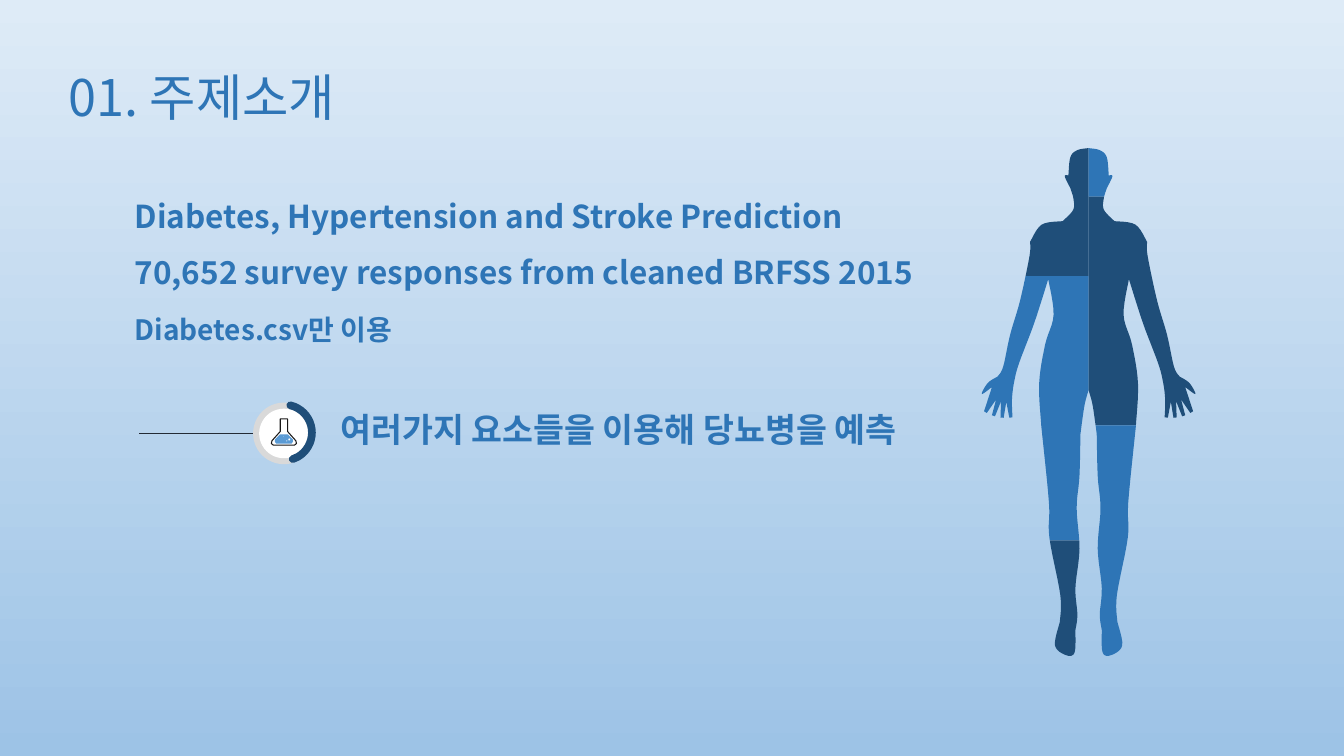
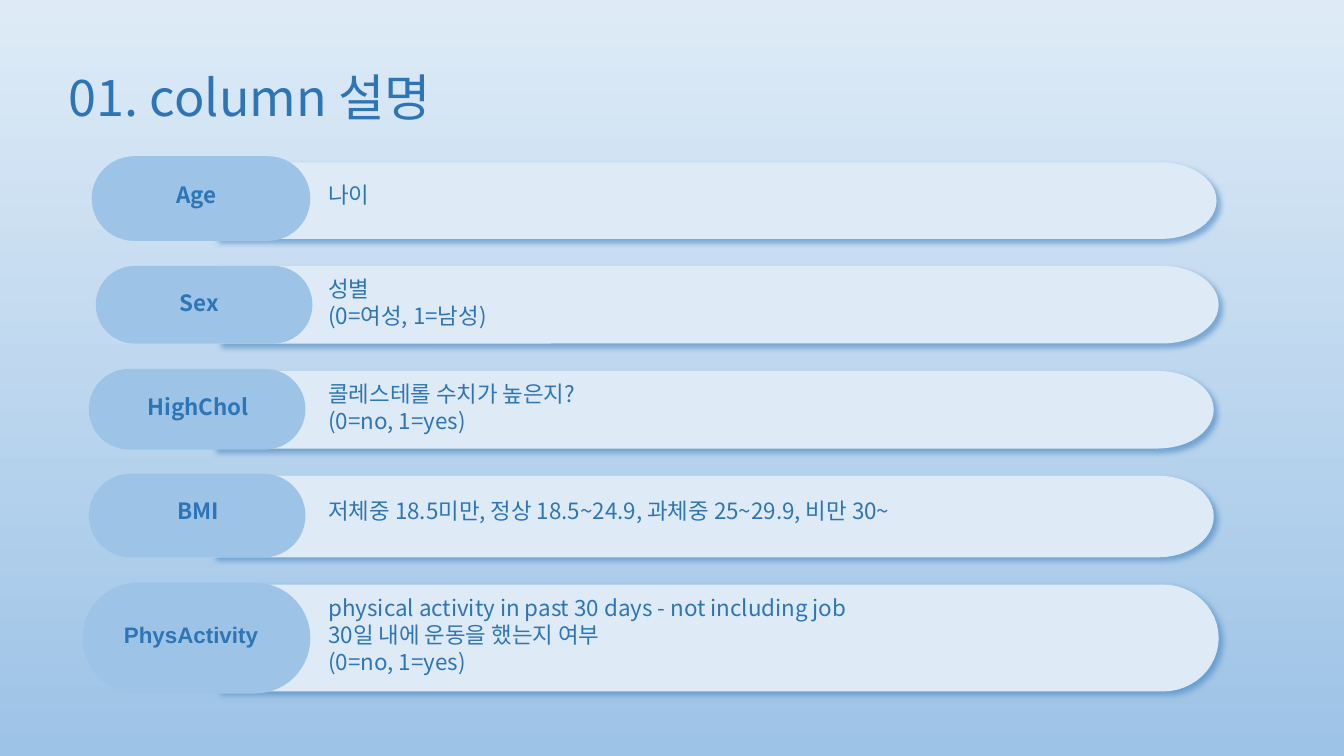
"""Build a two-slide introduction to a diabetes prediction project."""
from collections import namedtuple
from itertools import pairwise
from math import cos, pi, radians, sin

from lxml.etree import SubElement
from pptx import Presentation
from pptx.dml.color import RGBColor
from pptx.enum.shapes import MSO_CONNECTOR as CONNECTOR, MSO_SHAPE as SHAPE
from pptx.enum.text import MSO_ANCHOR as ANCHOR, PP_ALIGN as ALIGN
from pptx.oxml.ns import qn
from pptx.util import Pt

NAVY, BLUE, SKY, PALE = "1F4E79", "2E75B6", "9DC3E6", "DEEBF7"
WHITE, GREY, INK, LIQUID, RULE = "FFFFFF", "D9D9D9", "181717", "5B9BD5", "222A35"
KOREAN, LATIN = "Noto Sans CJK KR", "Arial"


def paint(shape, fill=None, line=None, width=1):
    shape.shadow.inherit = False
    for part, colour in ((shape.fill, fill), (shape.line.fill, line)):
        if colour:
            part.solid()
            part.fore_color.rgb = RGBColor.from_string(colour)
        else:
            part.background()
    if line:
        shape.line.width = Pt(width)


def write(box, place, lines, size, bold=False, font=KOREAN, align=ALIGN.LEFT, spacing=(1,)):
    box.left, box.top, box.width, box.height = map(Pt, place)
    frame = box.text_frame
    frame.word_wrap = True
    frame.vertical_anchor = ANCHOR.MIDDLE
    for number, line in enumerate(lines):
        paragraph = frame.add_paragraph() if number else frame.paragraphs[0]
        paragraph.alignment = align
        paragraph.line_spacing = spacing[min(number, len(spacing) - 1)]
        run = paragraph.add_run()
        run.text = line
        run.font.size = Pt(size)
        run.font.bold = bold
        run.font.name = font
        run.font.color.rgb = RGBColor.from_string(BLUE)
        SubElement(run.font._element, qn("a:ea"), typeface=font)


deck = Presentation()
deck.slide_width, deck.slide_height = Pt(960), Pt(540)
backdrop = deck.slide_master.background.fill
backdrop.gradient()
backdrop.gradient_angle = 270
for stop, colour, position in zip(backdrop.gradient_stops, (PALE, SKY), (0, 1)):
    stop.color.rgb = RGBColor.from_string(colour)
    stop.position = position

slides = []
for heading in ("01. 주제소개", "01. column 설명"):
    slide = deck.slides.add_slide(deck.slide_layouts[5])
    write(slide.shapes.title, (41.8, 38.2, 877, 67), [heading], 36, spacing=(0.9,))
    slides.append(slide)
topic, columns = (slide.shapes for slide in slides)

write(topic.add_textbox(0, 0, 0, 0), (89, 206, 292, 62),
      ["Diabetes.csv만 이용"], 20, bold=True, spacing=(0.9,))
write(topic.add_textbox(0, 0, 0, 0), (89, 144, 618, 68),
      ["Diabetes, Hypertension and Stroke Prediction",
       "70,652 survey responses from cleaned BRFSS 2015"],
      22.5, bold=True, spacing=(0.7, 1.5))
write(topic.add_textbox(0, 0, 0, 0), (236, 294, 500, 30),
      ["여러가지 요소들을 이용해 당뇨병을 예측"], 24, bold=True, spacing=(0.8,))

badge_x, badge_y = 202.8, 309.6
lead = topic.add_connector(CONNECTOR.STRAIGHT, Pt(99.4), Pt(badge_y), Pt(193.7), Pt(badge_y))
lead.line.color.rgb = RGBColor.from_string(RULE)
lead.line.width = Pt(1)
SubElement(lead._element.spPr, qn("a:effectLst"))
for size, tone in ((44, GREY), (35.4, WHITE)):
    corner = Pt(badge_x - size / 2), Pt(badge_y - size / 2)
    paint(topic.add_shape(SHAPE.OVAL, *corner, Pt(size), Pt(size)), tone)
progress_size = 40
progress = topic.add_shape(SHAPE.ARC, Pt(badge_x - progress_size / 2),
                           Pt(badge_y - progress_size / 2 - 0.6),
                           Pt(progress_size), Pt(progress_size))
progress.adjustments[0], progress.adjustments[1] = 169.91, 42.93
paint(progress, line=NAVY, width=5.5)
progress._element.spPr.find(qn("a:ln")).set("cap", "rnd")

wrist_x, wrist_y, finger_length, web_length = 59, 270, 28.5, 17
finger_angles = [31 - 12.7 * finger for finger in range(4)]
fingers = []
for angle in finger_angles:
    reaches = [(angle + 2.3, finger_length), (angle - 2.3, finger_length)]
    if angle != finger_angles[-1]:
        reaches.append((angle - 6.35, web_length))
    fingers += [(wrist_x + reach * sin(radians(turn)), wrist_y + reach * cos(radians(turn)))
                for turn, reach in reaches]

curved_parts = {
    "skull": [(8, 107.3), (13, 112.3), (14.4, 125.3)],
    "ear": [(17, 126), (13, 134.5)],
    "neck": [(10.8, 142), (11, 150), (18.5, 158)],
    "shoulder": [(33.5, 160.5), (41.8, 172.8)],
    "outer arm": [(42.2, 183), (49, 215), (56, 239), (61, 262), (65, 269)],
    "thumb": [(72, 273.6), (76.3, 281.5), (69, 276.5)],
    "fingers": fingers,
    "inner arm": [(54.7, 285), (53, 272), (49.5, 259), (38.9, 231), (28.8, 199.4)],
    "flank": [(25, 225), (31, 246), (35.3, 274), (33.8, 304)],
    "outer leg": [(28.3, 359), (28, 384), (20.2, 425), (20.5, 444)],
    "foot": [(24, 461), (16, 468), (10, 466), (9.4, 450)],
    "inner leg": [(8, 439), (9.4, 420), (6.5, 392), (8.5, 363), (6.5, 340), (5.8, 310)],
    "crotch": [(3, 290), (0, 278.6)],
}
curve_steps = 6
half_body = [(0, 105.8)]
for part, anchors in curved_parts.items():
    if part == "fingers":
        half_body += anchors
        continue
    knots = [half_body[-1], half_body[-1], *anchors, anchors[-1]]
    for before, start, end, after in zip(knots, knots[1:], knots[2:], knots[3:]):
        for step in range(1, curve_steps + 1):
            t = step / curve_steps
            half_body.append(tuple(
                b + (c - a) * t / 2 + (2 * a - 5 * b + 4 * c - d) * t ** 2 / 2
                + (3 * b - a - 3 * c + d) * t ** 3 / 2
                for a, b, c, d in zip(before, start, end, after)))

head_top, foot_bottom, body_axis = 100, 480, 777.6
figures = []
for side, cuts, tones in (
    (-1, (head_top, 197.3, 385.9, foot_bottom), (NAVY, BLUE, NAVY)),
    (1, (head_top, 140.4, 303.8, foot_bottom), (BLUE, NAVY, BLUE)),
):
    for (top, bottom), tone in zip(pairwise(cuts), tones):
        region = half_body
        for cut, keep in ((top, 1), (bottom, -1)):
            kept = []
            for (x0, y0), (x1, y1) in zip(region, region[1:] + region[:1]):
                if keep * (y0 - cut) >= 0:
                    kept.append((x0, y0))
                if (y0 - cut) * (y1 - cut) < 0:
                    kept.append((x0 + (x1 - x0) * (cut - y0) / (y1 - y0), cut))
            region = kept
        figures.append(([(body_axis + side * x, y) for x, y in region], tone, None))

flask_half = [(2.6, 299.2), (2.6, 308.2), (8.5, 314.8), (9, 316.8), (7.5, 318)]
liquid_half = [(2.8, 310.3), (6.4, 313.9), (6.4, 315.6), (5.5, 316.8)]
for half, fill, line in ((flask_half, None, INK), (liquid_half, LIQUID, None)):
    mirrored = [(badge_x - x, y) for x, y in half]
    mirrored += [(badge_x + x, y) for x, y in reversed(half)]
    figures.append((mirrored, fill, line))

for points, fill, line in figures:
    outline = [(Pt(x), Pt(y)) for x, y in points]
    pen = topic.build_freeform(*outline[0])
    pen.add_line_segments(outline[1:])
    paint(pen.convert_to_shape(), fill, line, 0.75)
for left, top, size in ((205.9, 313.2, 1.4), (204.5, 314.6, 0.7), (202.3, 311.8, 0.3)):
    paint(topic.add_shape(SHAPE.OVAL, Pt(left), Pt(top), Pt(size), Pt(size)), WHITE)

Row = namedtuple("Row", "name font notes text_middle name_centre "
                        "bar_left bar_top bar_height pill_left pill_top pill_width pill_height")
rows = [
    Row("Age", KOREAN, ["나이"], 139.3, 140.5,
        154, 116, 54.7, 65.5, 111.6, 156.2, 60.5),
    Row("Sex", KOREAN, ["성별", "(0=여성, 1=남성)"], 216, 142.3,
        155.5, 190, 55.4, 68.4, 190, 154.8, 55.4),
    Row("HighChol", KOREAN, ["콜레스테롤 수치가 높은지?", "(0=no, 1=yes)"], 290.5, 141.5,
        152, 265, 55.4, 63.4, 263.5, 154.8, 57.6),
    Row("BMI", KOREAN, ["저체중 18.5미만, 정상 18.5~24.9, 과체중 25~29.9, 비만 30~"], 365, 141.5,
        152, 339.8, 58.3, 63.4, 338.4, 154.8, 59.8),
    Row("PhysActivity", LATIN,
        ["physical activity in past 30 days - not including job",
         "30일 내에 운동을 했는지 여부", "(0=no, 1=yes)"], 453.5, 136.5,
        155.5, 417.6, 76.3, 59, 416.2, 162.7, 79.2),
]
bar_width, cap_width, cap_steps = 715, 39.6, 24
name_width, note_left, note_width = 180, 227.5, 652
cap_angles = [pi * (step / cap_steps - 0.5) for step in range(cap_steps + 1)]
for row in rows:
    cap_left, radius = row.bar_left + bar_width - cap_width, row.bar_height / 2
    cap = [(Pt(cap_left + cap_width * cos(angle)),
            Pt(row.bar_top + radius + radius * sin(angle))) for angle in cap_angles]
    pen = columns.build_freeform(Pt(row.bar_left), Pt(row.bar_top))
    pen.add_line_segments(cap + [(Pt(row.bar_left), Pt(row.bar_top + row.bar_height))])
    bar = pen.convert_to_shape()
    paint(bar, PALE)
    shadow = SubElement(bar._element.spPr.find(qn("a:effectLst")), qn("a:outerShdw"),
                        blurRad=str(Pt(4)), dist=str(Pt(3)), dir=str(45 * 60000),
                        algn="tl", rotWithShape="0")
    tint = SubElement(shadow, qn("a:srgbClr"), val=BLUE)
    SubElement(tint, qn("a:alpha"), val="50000")

    pill = columns.add_shape(SHAPE.ROUNDED_RECTANGLE, Pt(row.pill_left), Pt(row.pill_top),
                             Pt(row.pill_width), Pt(row.pill_height))
    pill.adjustments[0] = 0.5
    paint(pill, SKY)

    text_top = row.text_middle - radius
    write(columns.add_textbox(0, 0, 0, 0),
          (row.name_centre - name_width / 2, text_top, name_width, row.bar_height),
          [row.name], 16, bold=True, font=row.font, align=ALIGN.CENTER)
    write(columns.add_textbox(0, 0, 0, 0),
          (note_left, text_top, note_width, row.bar_height), row.notes, 16)

deck.save("out.pptx")
